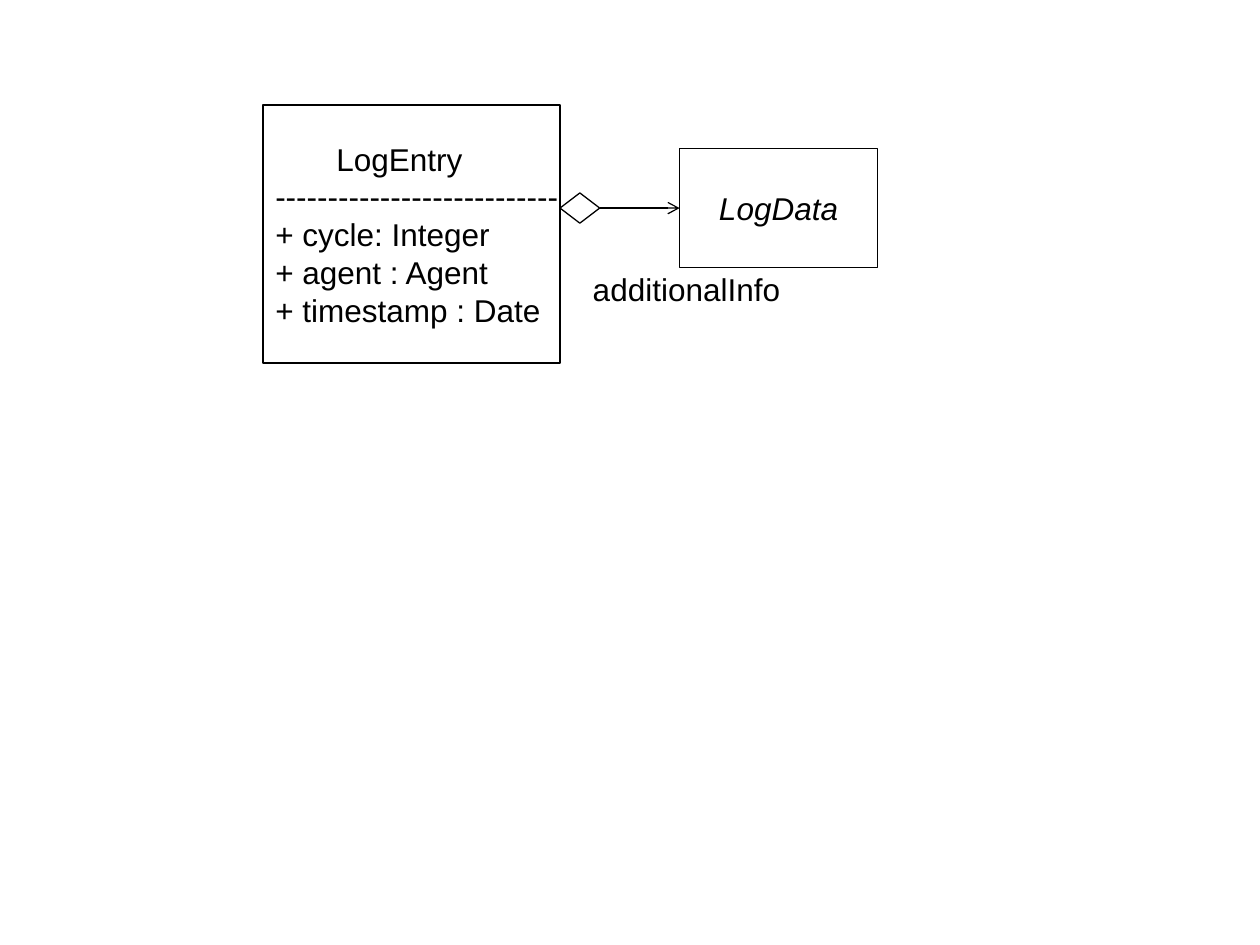
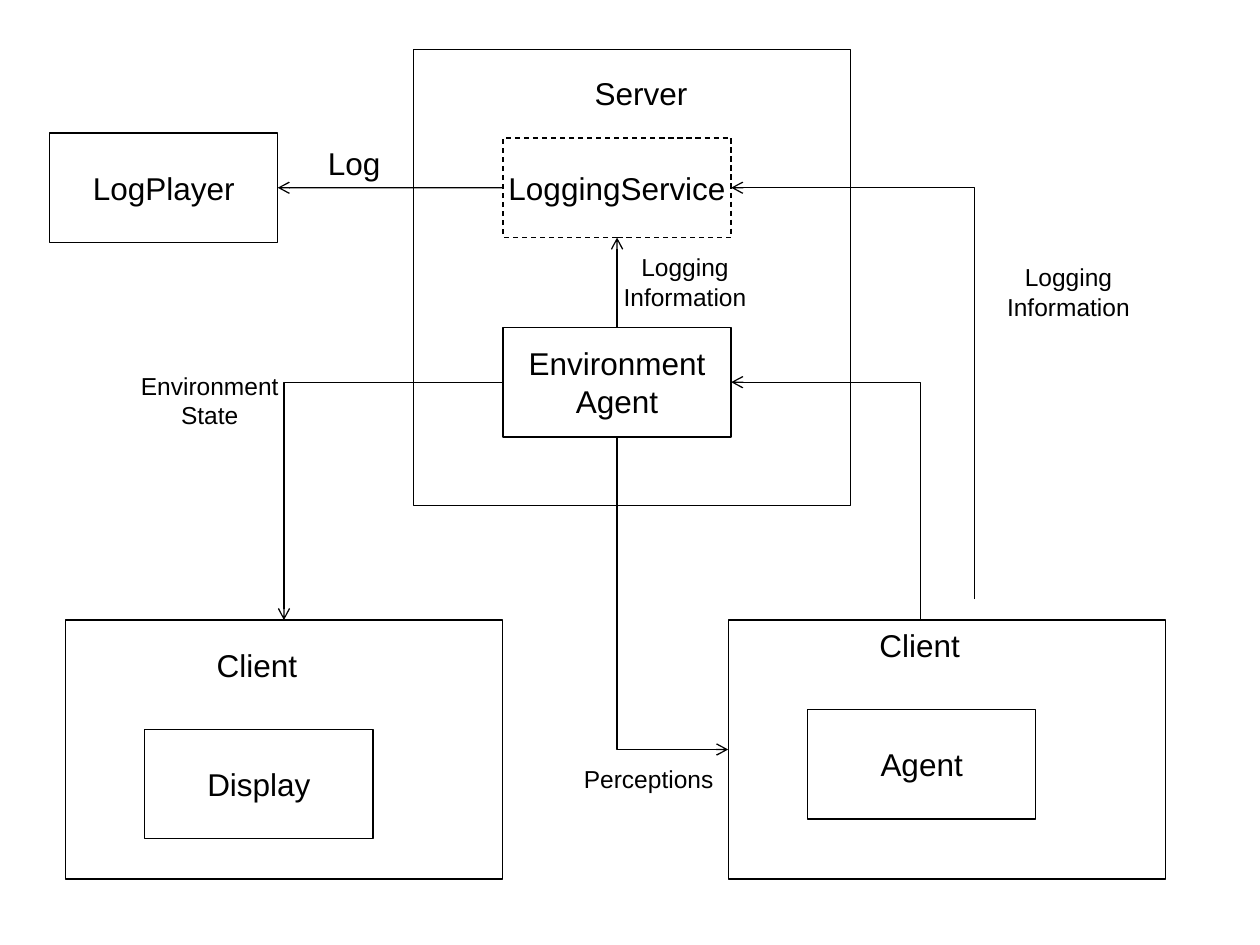
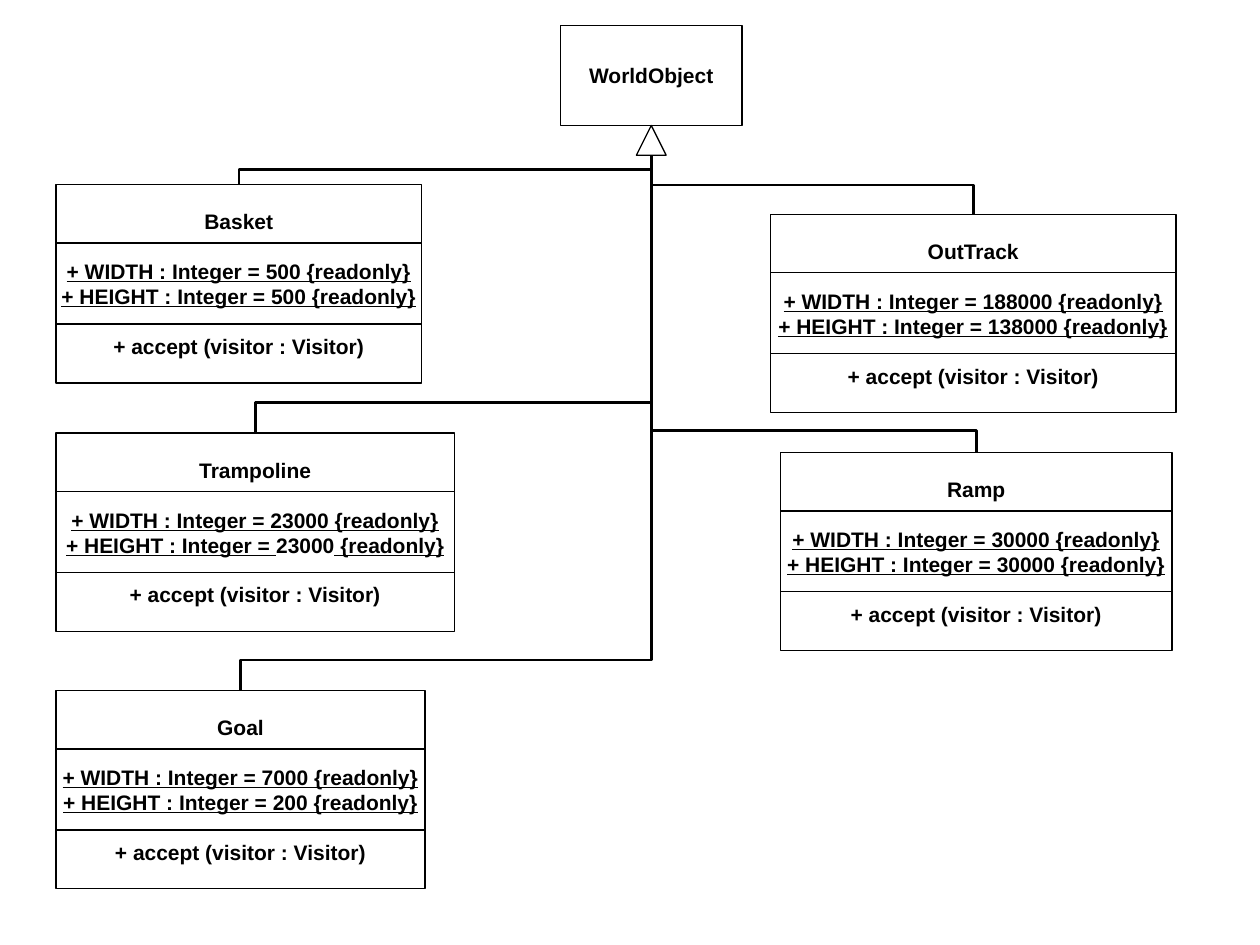
from lxml.etree import SubElement
from pptx import Presentation
from pptx.dml.color import RGBColor
from pptx.enum.dml import MSO_LINE
from pptx.enum.shapes import MSO_CONNECTOR, MSO_SHAPE
from pptx.enum.text import MSO_ANCHOR, MSO_AUTO_SIZE, PP_ALIGN
from pptx.oxml.ns import qn
from pptx.util import Cm, Pt

FONT = "Arial"
INK = "000000"
PAPER = "FFFFFF"
TOP, LEFT, BOTTOM, RIGHT = range(4)
INNER_WIDTH, INNER_HEIGHT = 4.6, 2.21
CLASS_HEIGHT = 4


def colour(value):
    """Turn a hex string into a colour."""
    return RGBColor.from_string(value)


def format_runs(paragraph, size, align, bold=False, italic=False):
    """Format a paragraph and every run in it."""
    paragraph.alignment = align
    for run in paragraph.runs:
        run.font.name = FONT
        run.font.size = Pt(size)
        run.font.bold = bold
        run.font.italic = italic
        run.font.color.rgb = colour(INK)


def outline(slide, left, top, width, height, preset=MSO_SHAPE.RECTANGLE):
    """Draw a white shape with a thin black outline."""
    shape = slide.shapes.add_shape(preset, Cm(left), Cm(top), Cm(width), Cm(height))
    shape.shadow.inherit = False
    shape.fill.solid()
    shape.fill.fore_color.rgb = colour(PAPER)
    shape.line.color.rgb = colour(INK)
    shape.line.width = Pt(0.75)
    shape.text_frame.word_wrap = False
    shape.text_frame.vertical_anchor = MSO_ANCHOR.MIDDLE
    return shape


def node(slide, text, left, top, width=INNER_WIDTH, height=INNER_HEIGHT, size=18,
         align=PP_ALIGN.CENTER, **style):
    """Draw an outlined box with text in its middle."""
    box = outline(slide, left, top, width, height)
    box.text_frame.text = text
    for paragraph in box.text_frame.paragraphs:
        format_runs(paragraph, size, align, **style)
    return box


def label(slide, text, left, top, width, height=1.02, size=18, align=PP_ALIGN.LEFT):
    """Write free text that does not wrap."""
    caption = slide.shapes.add_textbox(Cm(left), Cm(top), Cm(width), Cm(height))
    frame = caption.text_frame
    frame.word_wrap = False
    frame.auto_size = MSO_AUTO_SIZE.SHAPE_TO_FIT_TEXT
    frame.text = text
    for paragraph in frame.paragraphs:
        format_runs(paragraph, size, align)
    return caption


def link(slide, begin=None, end=None, start=(0, 0), finish=(0, 0),
         kind=MSO_CONNECTOR.STRAIGHT, weight=0.75, arrow=True):
    """Draw a connector between shape sides, or points where no side is given."""
    connector = slide.shapes.add_connector(kind, *map(Cm, start + finish))
    if begin:
        connector.begin_connect(*begin)
    if end:
        connector.end_connect(*end)
    connector.line.color.rgb = colour(INK)
    connector.line.width = Pt(weight)
    if arrow:
        SubElement(connector.line._get_or_add_ln(), qn("a:tailEnd"), type="arrow")
    SubElement(connector._element.spPr, qn("a:effectLst"))
    return connector


def elbow(slide, upright, bend=None, **ends):
    """Draw a bent connector with one corner, or two when the bend share is given."""
    connector = link(slide, kind=MSO_CONNECTOR.ELBOW, **ends)
    across = connector.end_x - connector.begin_x
    down = connector.end_y - connector.begin_y
    properties = connector._element.spPr
    geometry = properties.find(qn("a:prstGeom"))
    if bend is None:
        geometry.set("prst", "bentConnector2")
    else:
        SubElement(geometry.find(qn("a:avLst")), qn("a:gd"), name="adj1",
                   fmla=f"val {round(bend * 100000)}")
    if upright:
        middle_x = (connector.begin_x + connector.end_x) // 2
        middle_y = (connector.begin_y + connector.end_y) // 2
        connector.width, connector.height = abs(down), abs(across)
        connector.left = middle_x - connector.width // 2
        connector.top = middle_y - connector.height // 2
        frame = properties.find(qn("a:xfrm"))
        frame.set("rot", "16200000")
        frame.set("flipH", str(int(down > 0)))
        frame.set("flipV", str(int(across < 0)))
    return connector


def log_entry_slide(slide):
    """Show the log entry class and the data it holds."""
    data = node(slide, "LogData", 13.7, 3, 3.99, 2.39, italic=True)
    fields = ["LogEntry", "-" * 27, "+ cycle: Integer", "+ agent : Agent",
              "+ timestamp : Date"]
    entry = node(slide, "\n".join(fields), 5.3, 2.12, 5.99, 5.2, align=PP_ALIGN.LEFT)
    heading = entry.text_frame.paragraphs[0]._p.get_or_add_pPr()
    heading.set("marL", str(Cm(1.23)))
    heading.set("indent", "0")
    aggregation = outline(slide, 11.29, 3.89, 0.8, 0.61, MSO_SHAPE.DIAMOND)
    link(slide, (aggregation, RIGHT), (data, LEFT))
    label(slide, "additionalInfo", 11.7, 5.32, 4.31)


def server(slide, left, top):
    """Draw the server and return its logging service and environment agent."""
    outline(slide, left, top, 8.81, 9.19)
    label(slide, "Server", left + 3.41, top + 0.37, 2.5)
    environment = node(slide, "Environment\nAgent", left + 1.81, top + 5.6)
    logging = node(slide, "LoggingService", left + 1.81, top + 1.78, height=2.01)
    logging.line.dash_style = MSO_LINE.DASH
    return logging, environment


def client(slide, part, left, top, part_drop, caption_drop):
    """Draw a client with its inner part and return its box and caption."""
    box = outline(slide, left, top, 8.81, 5.22)
    node(slide, part, left + 1.6, top + part_drop)
    return box, label(slide, "Client", left + 2.8, top + caption_drop, 2.15)


def architecture_slide(slide):
    """Show how server, clients and log player exchange data."""
    logging, environment = server(slide, 8.33, 1)
    display_client, _ = client(slide, "Display", 1.32, 12.5, 2.2, 0.4)
    agent_client, agent_caption = client(slide, "Agent", 14.68, 12.5, 1.8, 0)
    player = node(slide, "LogPlayer", 1, 2.68)

    link(slide, (logging, LEFT), (player, RIGHT))
    link(slide, (environment, TOP), (logging, BOTTOM))
    elbow(slide, True, begin=(agent_caption, TOP), end=(environment, RIGHT))
    elbow(slide, False, begin=(environment, LEFT), end=(display_client, TOP))
    elbow(slide, True, start=(19.65, 12.08), end=(logging, RIGHT))
    elbow(slide, True, begin=(environment, BOTTOM), end=(agent_client, LEFT))

    label(slide, "Log", 6.36, 2.77, 1.7)
    label(slide, "Perceptions", 11.52, 15.28, 3.15, 0.86, 14)
    for text, left, top, width in [
        ("Environment\nState", 2.59, 7.35, 3.28),
        ("Logging\nInformation", 19.98, 5.16, 3.12),
        ("Logging\nInformation", 12.25, 4.96, 3.12),
    ]:
        label(slide, text, left, top, width, 1.45, 14, PP_ALIGN.CENTER)


def class_box(slide, name, sizes, left, top, width, plain_height):
    """Draw a class with its name, its size constants and its method."""
    box = outline(slide, left, top, width, CLASS_HEIGHT)
    frame = box.text_frame
    frame.text = name
    for constant, value in zip(("WIDTH", "HEIGHT"), sizes):
        paragraph = frame.add_paragraph()
        for text in (f"+ {constant} : Integer = ", str(value), " {readonly}"):
            run = paragraph.add_run()
            run.text = text
            run.font.underline = True
        if constant == "HEIGHT" and plain_height:
            paragraph.runs[1].font.underline = False
    method = frame.add_paragraph()
    method.text = "+ accept (visitor : Visitor)"
    for paragraph in frame.paragraphs:
        format_runs(paragraph, 12, PP_ALIGN.CENTER, bold=True)
    for paragraph in (frame.paragraphs[1], method):
        paragraph.space_before = Pt(14)
    for drop in (1.18, 2.81):
        link(slide, start=(left, top + drop), finish=(left + width, top + drop),
             arrow=False)
    return box


def world_object_slide(slide):
    """Show the world object class and the classes derived from it."""
    trunk, trunk_top = 13.13, 3.13
    for name, sizes, left, top, width, rise in [
        ("OutTrack", (188000, 138000), 15.53, 4.32, 8.18, 0.59),
        ("Goal", (7000, 200), 1.13, 13.92, 7.44, 0.61),
        ("Basket", (500, 500), 1.13, 3.72, 7.37, 0.3),
        ("Trampoline", (23000, 23000), 1.13, 8.73, 8.03, 0.61),
        ("Ramp", (30000, 30000), 15.73, 9.12, 7.9, 0.44),
    ]:
        derived = class_box(slide, name, sizes, left, top, width, name == "Trampoline")
        elbow(slide, True, rise / (top - trunk_top), begin=(derived, TOP),
              finish=(trunk, trunk_top), weight=1.5, arrow=False)
    node(slide, "WorldObject", trunk - 1.83, 0.52, 3.66, 2.01, 12, bold=True)
    outline(slide, trunk - 0.3, trunk_top - 0.6, 0.6, 0.6, MSO_SHAPE.ISOSCELES_TRIANGLE)


def main():
    """Build the three diagrams and save them."""
    deck = Presentation()
    deck.slide_width, deck.slide_height = Cm(25.4), Cm(19.05)
    blank = deck.slide_layouts[6]
    for build in (log_entry_slide, architecture_slide, world_object_slide):
        build(deck.slides.add_slide(blank))
    deck.save("out.pptx")


if __name__ == "__main__":
    main()
